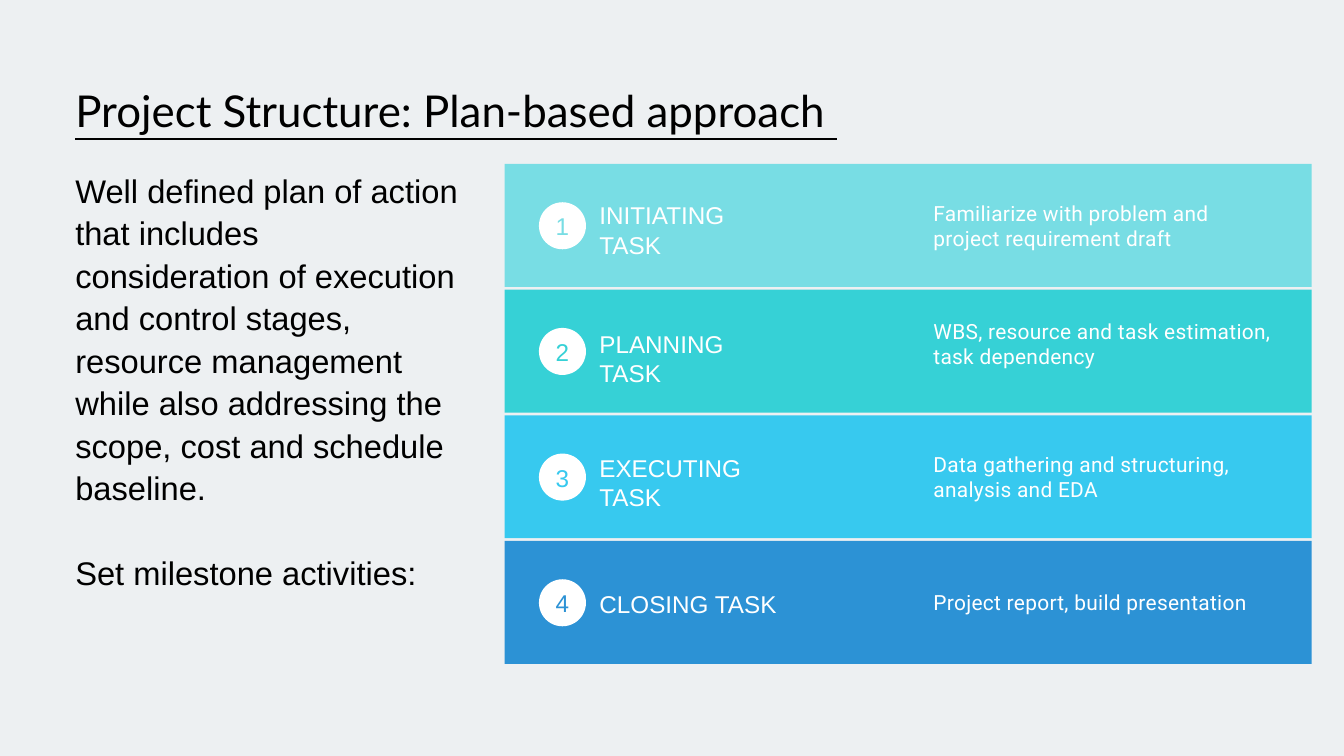
"""Build the plan-based project structure slide with four task bands."""
import pptx
import pptx.dml.color
import pptx.enum.shapes
import pptx.enum.text
import pptx.util
from lxml import etree

TITLE = "Project Structure: Plan-based approach "
BODY = [
    "Well defined plan of action that includes consideration of execution and control "
    "stages, resource management while also addressing the scope, cost and schedule baseline.",
    "Set milestone activities:",
]
TASKS = [
    {"label": "INITIATING TASK", "color": "aqua", "label_mid": 0.98, "detail_mid": 0.92,
     "detail": "Familiarize with problem and project requirement draft"},
    {"label": "PLANNING TASK", "color": "turquoise", "label_mid": 1.02, "detail_mid": 0.81,
     "detail": "WBS, resource and task estimation, task dependency"},
    {"label": "EXECUTING TASK", "color": "sky", "label_mid": 1.0, "detail_mid": 0.91,
     "detail": "Data gathering and structuring, analysis and EDA"},
    {"label": "CLOSING TASK", "color": "blue", "label_mid": 0.93, "detail_mid": 0.91,
     "detail": "Project report, build presentation"},
]
COLORS = {
    "page": "EDF0F2", "ink": "000000", "white": "FFFFFF", "aqua": "78DDE4",
    "turquoise": "36D1D6", "sky": "37C9EF", "blue": "2C92D5",
}
WIDTH, HEIGHT = 20, 11.25
MARGIN = 1.12
BAND_LEFT, BAND_TOP, BAND_WIDTH, BAND_HEIGHT, BAND_PITCH = 7.51, 2.44, 12.01, 1.83, 1.87
BADGE_LEFT, BADGE_DROP, BADGE_SIZE = 8.02, 0.57, 0.7
LABEL_LEFT, LABEL_WIDTH = 8.92, 2.76
DETAIL_LEFT, DETAIL_WIDTH = 13.89, 5.11
TEXT_HEIGHT = 0.88

ALIGN = pptx.enum.text.PP_ALIGN
ANCHOR = pptx.enum.text.MSO_ANCHOR
SHAPE = pptx.enum.shapes.MSO_SHAPE


def rgb(name):
    return pptx.dml.color.RGBColor.from_string(COLORS[name])


def inches(*lengths):
    return [pptx.util.Inches(length) for length in lengths]


def place(shape, *bounds):
    shape.left, shape.top, shape.width, shape.height = inches(*bounds)


def write(shape, texts, font, size, leading, color, anchor=ANCHOR.TOP, align=ALIGN.LEFT, gap=0):
    frame = shape.text_frame
    frame.word_wrap = True
    frame.auto_size = pptx.enum.text.MSO_AUTO_SIZE.NONE
    frame.vertical_anchor = anchor
    frame.margin_left = frame.margin_top = frame.margin_right = frame.margin_bottom = 0
    frame.text = "\n".join(texts)
    for index, para in enumerate(frame.paragraphs):
        para.alignment = align
        para.line_spacing = pptx.util.Pt(leading)
        para.space_before = pptx.util.Pt(gap if index else 0)
        para.font.name = font
        para.font.size = pptx.util.Pt(size)
        para.font.color.rgb = rgb(color)
    return frame


def add_solid(page, kind, color, *bounds):
    shape = page.shapes.add_shape(kind, *inches(*bounds))
    shape.shadow.inherit = False
    shape.fill.solid()
    shape.fill.fore_color.rgb = rgb(color)
    shape.line.fill.background()
    return shape


def add_text(page, text, left, middle, width, *style):
    box = page.shapes.add_textbox(*inches(left, middle - TEXT_HEIGHT / 2, width, TEXT_HEIGHT))
    return write(box, [text], *style, anchor=ANCHOR.MIDDLE)


def add_task(page, index, task):
    top = BAND_TOP + index * BAND_PITCH
    add_solid(page, SHAPE.RECTANGLE, task["color"], BAND_LEFT, top, BAND_WIDTH, BAND_HEIGHT)
    badge = add_solid(page, SHAPE.OVAL, "white", BADGE_LEFT, top + BADGE_DROP,
                      BADGE_SIZE, BADGE_SIZE)
    number = write(badge, [str(index + 1)], "Arial", 26, 36.4, task["color"],
                   ANCHOR.MIDDLE, ALIGN.CENTER)
    number.margin_bottom = pptx.util.Inches(0.06)
    add_text(page, task["label"], LABEL_LEFT, top + task["label_mid"], LABEL_WIDTH,
             "Arial", 26, 31.2, "white")
    detail = add_text(page, task["detail"], DETAIL_LEFT, top + task["detail_mid"], DETAIL_WIDTH,
                      "Roboto", 22.4, 26.9, "white")
    for span in detail.paragraphs[0].runs:
        span._r.get_or_add_rPr().set("spc", "30")


def main():
    deck = pptx.Presentation()
    deck.slide_width, deck.slide_height = inches(WIDTH, HEIGHT)
    page = deck.slides.add_slide(deck.slide_layouts[1])
    page.background.fill.solid()
    page.background.fill.fore_color.rgb = rgb("page")

    title, body = page.placeholders
    place(title, MARGIN, 1.18, 12.01, 0.83)
    heading = write(title, [TITLE], "Lato", 47, 61.1, "ink")
    heading.paragraphs[0].font.underline = True

    place(body, MARGIN, 2.49, 5.74, 6.23)
    body.text_frame.text = "\n".join(BODY)
    frame = write(body, BODY, "Arial", 35, 45.5, "ink", gap=45.5)
    for para in frame.paragraphs:
        properties = para._p.get_or_add_pPr()
        properties.set("marL", "0")
        properties.set("indent", "0")
        bullet = etree.Element(pptx.oxml.ns.qn("a:buNone"))
        properties.find(pptx.oxml.ns.qn("a:defRPr")).addprevious(bullet)

    for index, task in enumerate(TASKS):
        add_task(page, index, task)
    deck.save("out.pptx")


if __name__ == "__main__":
    main()
